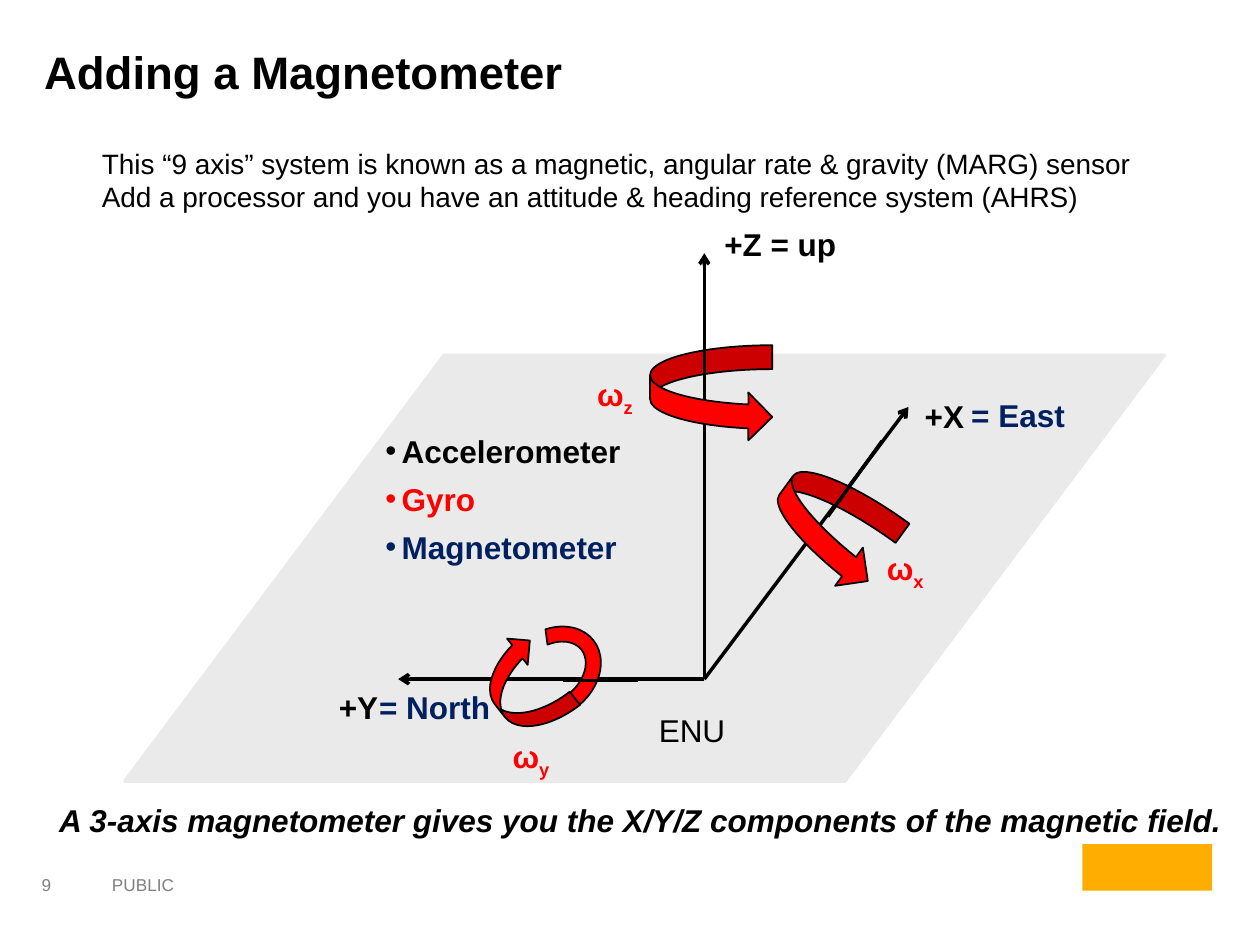
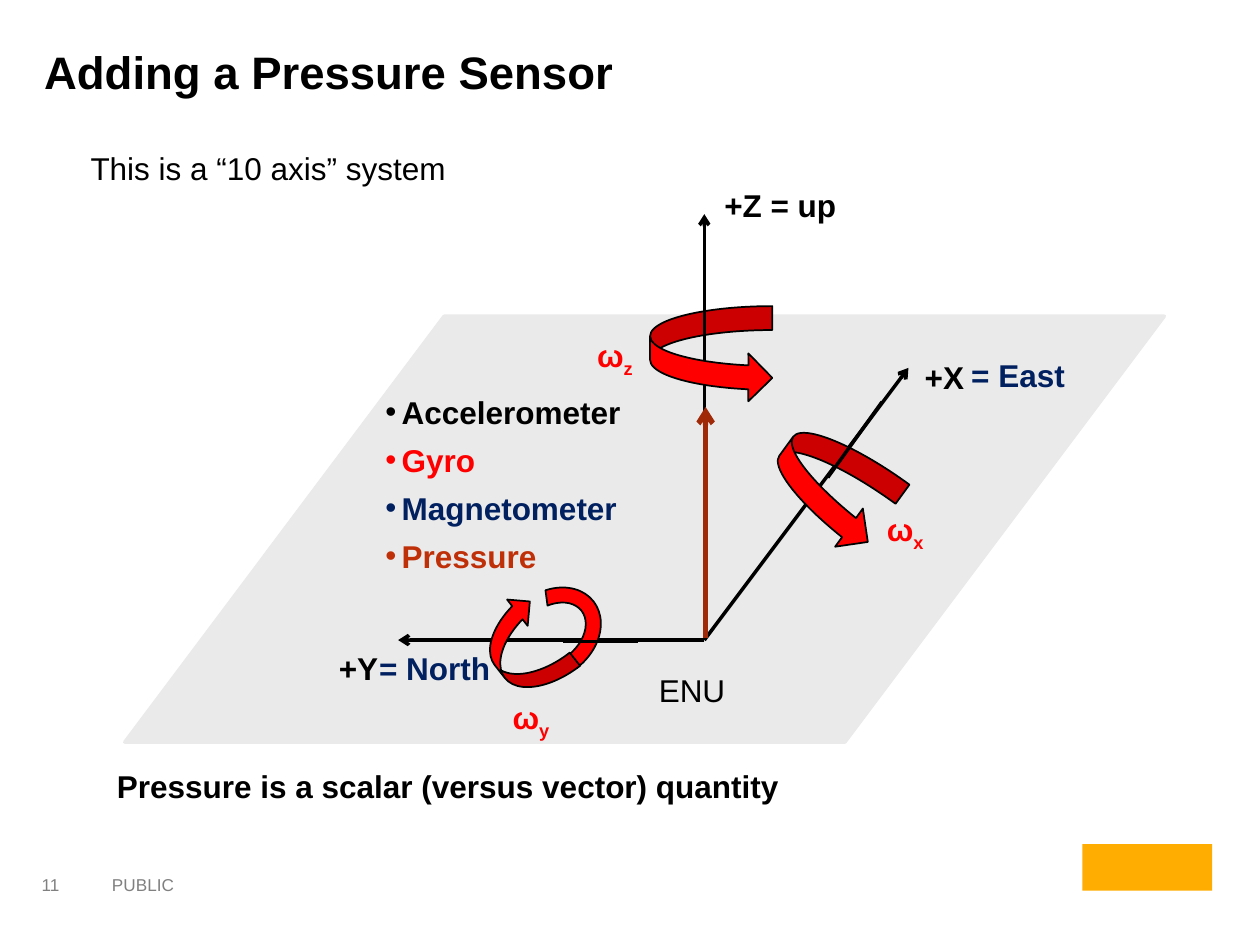
from pptx import Presentation
from pptx.dml.color import RGBColor
from pptx.enum.shapes import MSO_CONNECTOR, MSO_SHAPE
from pptx.enum.text import MSO_ANCHOR, PP_ALIGN
from pptx.oxml.ns import qn
from pptx.util import Inches, Pt
from lxml import etree

LINE = MSO_CONNECTOR.STRAIGHT
RECT = MSO_SHAPE.RECTANGLE
PLANE = MSO_SHAPE.PARALLELOGRAM
CURL = MSO_SHAPE.CURVED_RIGHT_ARROW
ARC = MSO_SHAPE.BLOCK_ARC
TOP = MSO_ANCHOR.TOP
MIDDLE = MSO_ANCHOR.MIDDLE
LEFT = PP_ALIGN.LEFT

FONT = "Arial"
COLORS = {
    "black": "000000",
    "gray": "808080",
    "plane": "EAEAEA",
    "patch": "D9D9D9",
    "red": "FF0000",
    "navy": "002060",
    "rust": "BF3009",
    "brown": "A02908",
    "badge": "FFAD00",
}
SHIFT = -0.31


def paint(name):
    return RGBColor.from_string(COLORS[name])


def dot(para):
    props = para._p.get_or_add_pPr()
    props.set("marL", str(Inches(0.13)))
    props.set("indent", str(Inches(-0.13)))
    etree.SubElement(props, qn("a:buFont")).set("typeface", FONT)
    etree.SubElement(props, qn("a:buChar")).set("char", "•")


def style(font, size, color, bold, italic):
    font.name = FONT
    font.size = Pt(size)
    font.bold = bold
    font.italic = italic
    font.color.rgb = paint(color)


def write(frame, text, size=18, color="black", bold=False, italic=False,
          bullet=False, sub="", wrap=False, anchor=TOP, inset=(0.1, 0.05)):
    frame.word_wrap = wrap
    frame.vertical_anchor = anchor
    frame.margin_left = frame.margin_right = Inches(inset[0])
    frame.margin_top = frame.margin_bottom = Inches(inset[1])
    for i, row in enumerate(text.split("\n")):
        para = frame.add_paragraph() if i else frame.paragraphs[0]
        para.alignment = LEFT
        if bullet:
            dot(para)
        for part in filter(None, (row, sub)):
            run = para.add_run()
            run.text = part
            style(run.font, size, color, bold, italic)
            if part == sub:
                run._r.get_or_add_rPr().set("baseline", "-25000")


def label(slide, box, text, **fmt):
    shape = slide.shapes.add_textbox(*map(Inches, box))
    write(shape.text_frame, text, **fmt)


def stroke(slide, start, end, color="black", width=2, arrow=False):
    line = slide.shapes.add_connector(LINE, *map(Inches, (*start, *end)))
    line.line.color.rgb = paint(color)
    line.line.width = Pt(width)
    props = line.element.spPr
    if arrow:
        etree.SubElement(props.find(qn("a:ln")), qn("a:tailEnd")).set("type", "arrow")
    etree.SubElement(props, qn("a:effectLst"))


def solid(slide, kind, box, fill, edge=None, width=1, turn=0, flip=False, adjust=()):
    shape = slide.shapes.add_shape(kind, *map(Inches, box))
    shape.shadow.inherit = False
    shape.fill.solid()
    shape.fill.fore_color.rgb = paint(fill)
    if edge:
        shape.line.color.rgb = paint(edge)
        shape.line.width = Pt(width)
    else:
        shape.line.fill.background()
    for i, value in enumerate(adjust):
        shape.adjustments[i] = value
    shape.rotation = turn
    if flip:
        shape.element.spPr.find(qn("a:xfrm")).set("flipV", "1")


def start(deck, title, number):
    slide = deck.slides.add_slide(deck.slide_layouts[5])
    head = slide.shapes.title
    head.left, head.top, head.width, head.height = map(Inches, (0.25, 0.3, 9.57, 0.72))
    write(head.text_frame, title, size=26, bold=True, wrap=True)
    label(slide, (0.27, 6.87, 0.49, 0.3), number, size=9.8, color="gray",
          wrap=True, anchor=MIDDLE, inset=(0.06, 0.03))
    label(slide, (0.79, 6.89, 3.84, 0.34), "PUBLIC", size=9.8, color="gray", wrap=True)
    solid(slide, RECT, (8.59, 6.7, 1.03, 0.37), "badge")
    return slide


def axes(slide, dy):
    zero = (5.59, 5.39 + dy)
    solid(slide, PLANE, (0.99, 2.82 + dy, 8.25, 3.38), "plane", "plane", 2, adjust=(0.75,))
    for x, y in ((3.16, 5.39), (5.59, 2.01), (7.21, 3.23)):
        stroke(slide, zero, (x, y + dy), arrow=True)
    solid(slide, RECT, (4.5, 5.49 + dy, 0.13, 0.09), "patch", turn=319, flip=True)
    names = (
        ("+Y", 2.59, 5.41, 0.52, "black"),
        ("+X", 7.24, 3.1, 0.52, "black"),
        ("+Z = up", 5.65, 1.74, 1.1, "black"),
        ("= North", 2.91, 5.41, 1.09, "navy"),
        ("= East", 7.61, 3.09, 0.95, "navy"),
    )
    for text, x, y, width, color in names:
        label(slide, (x, y + dy, width, 0.4), text, color=color, bold=True)
    label(slide, (5.13, 5.59 + dy, 1.19, 0.4), "ENU", wrap=True)


def spins(slide, dy):
    for axis, x, y in (("z", 4.64, 2.93), ("x", 6.94, 4.31), ("y", 3.97, 5.8)):
        label(slide, (x, y + dy, 0.51, 0.4), "ω", sub=axis, color="red", bold=True)
    turns = (
        (CURL, (5.16, 2.74, 0.97, 0.76), 0, False, ()),
        (CURL, (6.12, 3.8, 0.97, 0.75), 36, False, ()),
        (ARC, (4.04, 4.92, 0.67, 0.85), 232, True, (107.48, 197.71, 0.18)),
        (CURL, (3.89, 5.06, 0.53, 0.78), 322, True, ()),
    )
    for kind, (x, y, width, height), turn, flip, adjust in turns:
        solid(slide, kind, (x, y + dy, width, height), "red", "black",
              turn=turn, flip=flip, adjust=adjust)
    fronts = (
        ((4.47, 5.4), (5.06, 5.4)),
        ((5.59, 2.63), (5.59, 2.99)),
        ((6.57, 4.1), (7, 3.5)),
    )
    for (x1, y1), (x2, y2) in fronts:
        stroke(slide, (x1, y1 + dy), (x2, y2 + dy))


def sensors(slide, dy, items):
    for i, (text, color) in enumerate(items):
        label(slide, (2.96, 3.38 + dy + i * 0.38, 2.08, 0.4), text,
              color=color, bold=True, bullet=True)


def scene(slide, dy, items):
    axes(slide, dy)
    sensors(slide, dy, items)
    spins(slide, dy)


def main():
    deck = Presentation()
    deck.slide_width, deck.slide_height = Inches(10), Inches(7.5)
    items = [("Accelerometer", "black"), ("Gyro", "red"), ("Magnetometer", "navy")]

    field = start(deck, "Adding a Magnetometer", "9")
    scene(field, 0, items)
    label(field, (0.71, 1.11, 9.29, 0.99),
          "This “9 axis” system is known as a magnetic, angular rate & gravity (MARG) sensor\n"
          "Add a processor and you have an attitude & heading reference system (AHRS)",
          size=16, wrap=True)
    label(field, (0.37, 6.31, 9.52, 0.4),
          "A 3-axis magnetometer gives you the X/Y/Z components of the magnetic field.",
          bold=True, italic=True)

    scalar = start(deck, "Adding a Pressure Sensor", "11")
    scene(scalar, SHIFT, items + [("Pressure", "rust")])
    stroke(scalar, (5.6, 5.06), (5.6, 3.23), "brown", 3, arrow=True)
    label(scalar, (0.62, 1.13, 4.32, 0.4), "This is a “10 axis” system", wrap=True)
    label(scalar, (0.83, 6.04, 5.5, 0.4),
          "Pressure is a scalar (versus vector) quantity", bold=True)

    deck.save("out.pptx")


if __name__ == "__main__":
    main()
